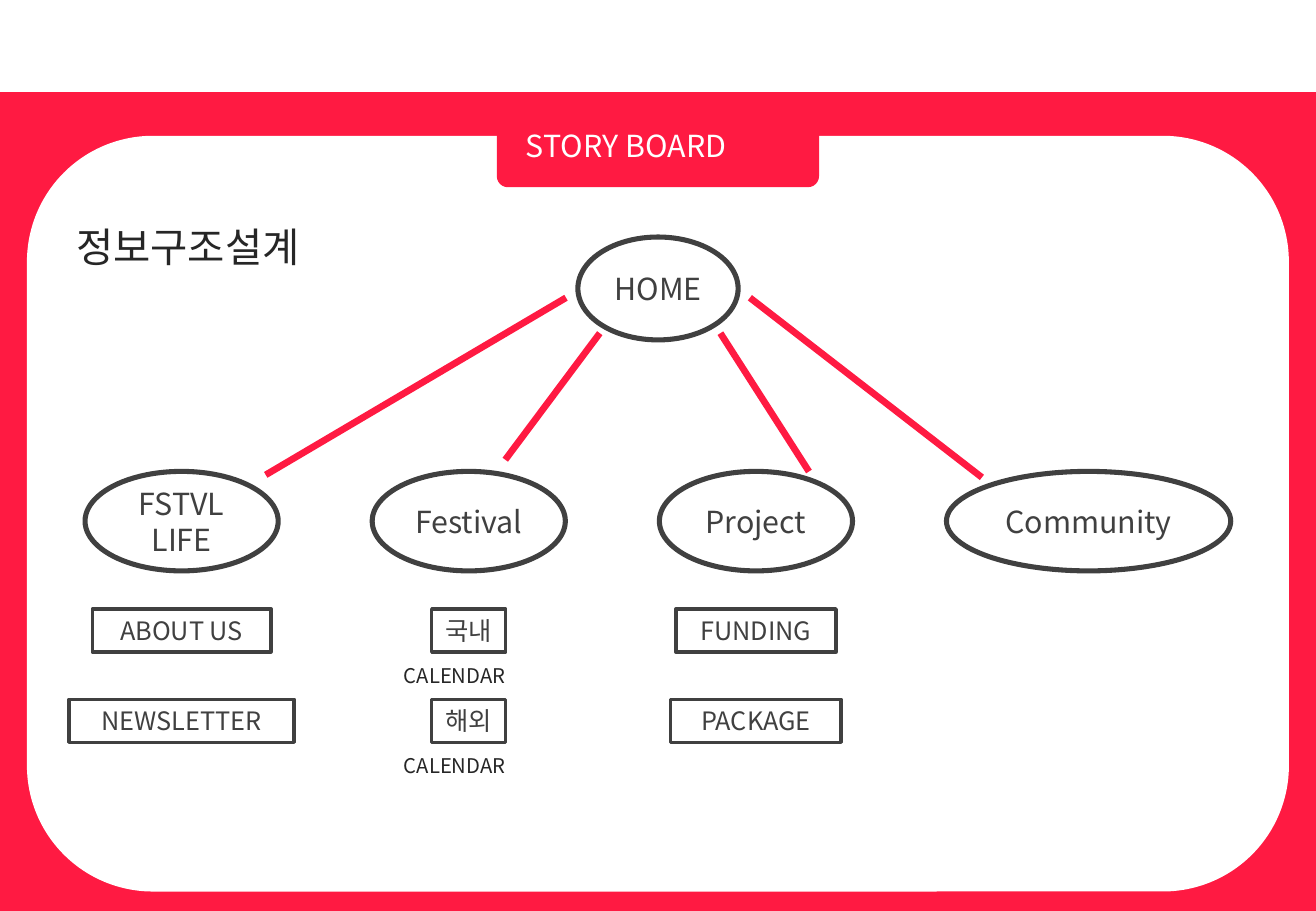
import pptx
import pptx.util
import pptx.dml.color
import pptx.enum.shapes
import pptx.enum.text
import pptx.oxml.ns
from lxml import etree

Pt = pptx.util.Pt
SHAPE = pptx.enum.shapes.MSO_SHAPE
ALIGN = pptx.enum.text.PP_ALIGN
ANCHOR = pptx.enum.text.MSO_ANCHOR
qn = pptx.oxml.ns.qn

FONT = "Noto Sans CJK KR"
RED, WHITE, GRAY, DARK = "FF1A42", "FFFFFF", "404040", "262626"

TITLE = "STORY BOARD"
HEADING = "정보구조설계"
HOME = "HOME"
# menu name, ellipse width, [(page name, box width, caption below)]
MENUS = [
    ("FSTVL LIFE", 114.5, [("ABOUT US", 106, ""), ("NEWSLETTER", 133.5, "")]),
    ("Festival", 114.5, [("국내", 44, "CALENDAR"), ("해외", 44, "CALENDAR")]),
    ("Project", 114.5, [("FUNDING", 95, ""), ("PACKAGE", 101, "")]),
    ("Community", 168.5, []),
]
# x and y at the home end, then at the menu end
BRANCHES = [
    (355.5, 197.5, 299.5, 272.5),
    (335.5, 176.5, 157.5, 281.5),
    (427, 197.5, 479.5, 279.5),
    (444.5, 176.5, 582, 283),
]

MENU_LEFT, MENU_TOP, MENU_STEP, MENU_H = 50.4, 279.4, 170.2, 59
PAGE_TOP, PAGE_STEP, PAGE_H = 361, 53.5, 25.5
CAPTION_SHIFT, CAPTION_DROP = -45.5, 28.5


def rgb(color):
    return pptx.dml.color.RGBColor.from_string(color)


def write(s, text, size=18, color=GRAY, align=ALIGN.CENTER,
          anchor=ANCHOR.MIDDLE, wrap=True, inset=None):
    tf = s.text_frame
    tf.word_wrap = wrap
    tf.vertical_anchor = anchor
    if inset is not None:
        tf.margin_left = tf.margin_right = Pt(inset)
        tf.margin_top = tf.margin_bottom = Pt(inset)
    p = tf.paragraphs[0]
    p.alignment = align
    r = p.add_run()
    r.text = text
    r.font.size = Pt(size)
    r.font.name = FONT
    r.font.color.rgb = rgb(color)
    etree.SubElement(r.font._element, qn("a:ea")).set("typeface", FONT)


def add_shape(kind, x, y, w, h, fill=None, line=None, weight=0):
    s = shapes.add_shape(kind, Pt(x), Pt(y), Pt(w), Pt(h))
    s.shadow.inherit = False
    if fill:
        s.fill.solid()
        s.fill.fore_color.rgb = rgb(fill)
    else:
        s.fill.background()
    if line:
        s.line.color.rgb = rgb(line)
        s.line.width = Pt(weight)
    else:
        s.line.fill.background()
    return s


def add_ellipse(text, x, y, w, h):
    write(add_shape(SHAPE.OVAL, x, y, w, h, WHITE, GRAY, 3), text, inset=0)


def add_label(text, x, y, w, h, size):
    s = shapes.add_textbox(Pt(x), Pt(y), Pt(w), Pt(h))
    write(s, text, size, DARK, ALIGN.LEFT, ANCHOR.TOP)


prs = pptx.Presentation()
prs.slide_width, prs.slide_height = Pt(780), Pt(540)
slide = prs.slides.add_slide(prs.slide_layouts[5])
shapes = slide.shapes
slide.background.fill.solid()
slide.background.fill.fore_color.rgb = rgb(RED)

add_shape(SHAPE.RECTANGLE, 0, -2, 780, 56.5, WHITE)
add_shape(SHAPE.ROUNDED_RECTANGLE, 16, 80.5, 748, 448, WHITE)
add_shape(SHAPE.ROUNDED_RECTANGLE, 294.5, 71.5, 191, 39.5, RED)

title = shapes.title
title.left, title.top, title.width, title.height = Pt(304.5), Pt(72), Pt(170), Pt(29)
write(title, TITLE, color=WHITE, align=ALIGN.LEFT, anchor=ANCHOR.TOP)
shapes._spTree.append(title._element)  # in front of the red tab

add_label(HEADING, 38, 128, 160, 36, 24)
add_ellipse(HOME, 342.5, 140.5, 95, 61)

for col, (menu, width, pages) in enumerate(MENUS):
    left = MENU_LEFT + col * MENU_STEP
    center = left + width / 2
    add_ellipse(menu, left, MENU_TOP, width, MENU_H)
    for row, (page, page_w, caption) in enumerate(pages):
        top = PAGE_TOP + row * PAGE_STEP
        s = add_shape(SHAPE.RECTANGLE, center - page_w / 2, top, page_w, PAGE_H,
                      line=GRAY, weight=2)
        write(s, page, size=15, wrap=False)
        if caption:
            add_label(caption, center + CAPTION_SHIFT, top + CAPTION_DROP, 92, 21.5, 12)

for x1, y1, x2, y2 in BRANCHES:
    branch = shapes.add_connector(pptx.enum.shapes.MSO_CONNECTOR.STRAIGHT,
                                  Pt(x1), Pt(y1), Pt(x2), Pt(y2))
    branch.line.color.rgb = rgb(RED)
    branch.line.width = Pt(4)
    etree.SubElement(branch._element.spPr, qn("a:effectLst"))

prs.save("out.pptx")
